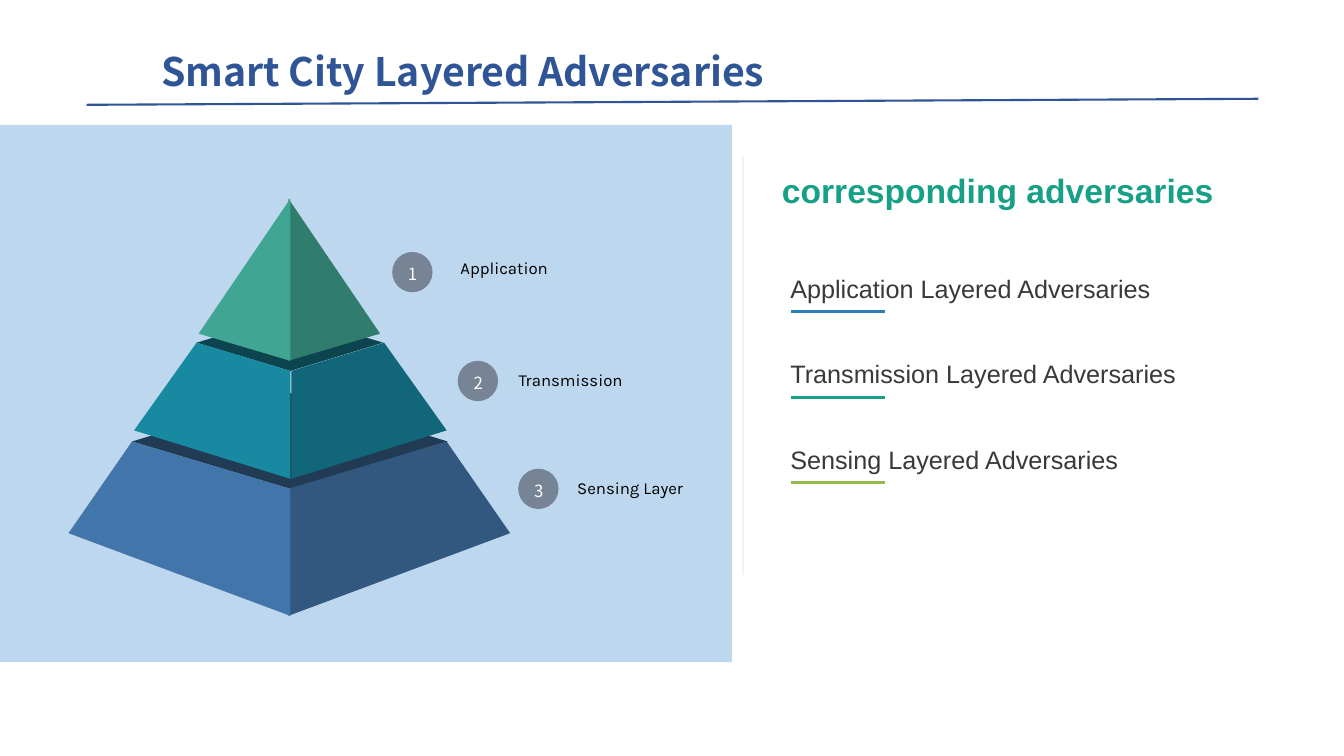
from pptx import Presentation
from pptx.dml.color import RGBColor
from pptx.enum.shapes import MSO_SHAPE as Shape, MSO_CONNECTOR as Conn
from pptx.enum.text import MSO_ANCHOR as Anchor, PP_ALIGN as Align
from pptx.oxml.ns import qn
from pptx.util import Inches, Pt
from lxml import etree

TITLE = "Smart City Layered Adversaries"
HEADING = "corresponding adversaries"
CJK = "Noto Sans CJK SC"
FACES = [
    ("213B55", [(2.88, 3.9), (1.31, 4.38), (2.88, 4.85), (4.44, 4.38)]),
    ("32587F", [(2.86, 4.85), (2.86, 6.11), (5.06, 5.29), (4.43, 4.38)]),
    ("4276AA", [(2.88, 4.85), (2.88, 6.11), (0.68, 5.29), (1.31, 4.38)]),
    ("0C4550", [(2.88, 3.12), (1.95, 3.4), (2.88, 3.68), (3.8, 3.4)]),
    ("116779", [(2.89, 3.68), (2.89, 4.75), (4.43, 4.27), (3.81, 3.4)]),
    ("178AA1", [(2.88, 3.68), (2.88, 4.75), (1.33, 4.27), (1.95, 3.4)]),
    ("307D6E", [(2.86, 1.97), (2.86, 3.58), (3.77, 3.31)]),
    ("40A693", [(1.97, 3.31), (2.88, 3.58), (2.88, 1.97)]),
]
LAYERS = [
    ("Application", 3.89, (4.29, 2.47, 1.42, 1.01)),
    ("Transmission", 4.54, (4.75, 3.58, 1.82, 0.65)),
    ("Sensing Layer", 5.14, (5.34, 4.65, 1.82, 1.01)),
]
ROWS = [
    ("Application Layered Adversaries", 4.69, "297FB8"),
    ("Transmission Layered Adversaries", 5.31, "16A086"),
    ("Sensing Layered Adversaries", 4.3, "94B74F"),
]

prs = Presentation()
prs.slide_width, prs.slide_height = Inches(13.33), Inches(7.5)
shapes = prs.slides.add_slide(prs.slide_layouts[6]).shapes


def color(code):
    return RGBColor.from_string(code)


def paint(shape, code):
    shape.shadow.inherit = False
    shape.fill.solid()
    shape.fill.fore_color.rgb = color(code)
    shape.line.fill.background()


def block(kind, box, code):
    shape = shapes.add_shape(kind, *map(Inches, box))
    paint(shape, code)
    return shape


def face(code, points):
    points = [(Inches(x), Inches(y)) for x, y in points]
    form = shapes.build_freeform(*points[0], scale=1)
    form.add_line_segments(points[1:], close=True)
    paint(form.convert_to_shape(), code)


def rule(start, end, code, width):
    line = shapes.add_connector(Conn.STRAIGHT, *map(Inches, start + end))
    line.line.color.rgb = color(code)
    line.line.width = Pt(width)
    etree.SubElement(line._element.spPr, qn("a:effectLst"))


def write(shape, text, size, font, code, bold=False, align=Align.LEFT,
          anchor=Anchor.TOP, lead=1.0, before=0):
    frame = shape.text_frame
    frame.word_wrap = True
    frame.vertical_anchor = anchor
    para = frame.paragraphs[0]
    para.text = text
    para.alignment = align
    para.line_spacing = lead
    para.space_before = Pt(before)
    para.font.size, para.font.name, para.font.bold = Pt(size), font, bold
    para.font.color.rgb = color(code)


def label(box, *args, **style):
    write(shapes.add_textbox(*map(Inches, box)), *args, **style)


block(Shape.RECTANGLE, (0, 1.24, 7.26, 5.33), "BDD7EE")
label((1.5, 0.42, 7.94, 0.57), TITLE, 28, CJK, "2F5597", bold=True)
rule((0.86, 1.04), (12.48, 0.98), "2F5597", 1.5)

for code, points in FACES:
    face(code, points)

for num, (name, left, box) in enumerate(LAYERS, 1):
    label(box, name, 12, "Karla", "000000", align=Align.CENTER,
          lead=1.2, before=2.4)
    top = 2.5 if num == 1 else box[1]
    dot = block(Shape.OVAL, (left, top, 0.4, 0.4), "778495")
    write(dot, str(num), 12, CJK, "FFFFFF", align=Align.CENTER,
          anchor=Anchor.MIDDLE, lead=1.2)

rule((7.37, 1.55), (7.37, 5.7), "F2F2F2", 1.75)
label((7.6, 1.66, 4.59, 0.5), HEADING, 24, "Arial", "16A086", bold=True,
      align=Align.CENTER, anchor=Anchor.MIDDLE, lead=0.9)
for i, (text, width, code) in enumerate(ROWS):
    top = 2.48 + 0.85 * i
    label((7.74, top, width, 0.58), text, 18, "Arial", "3A3838",
          anchor=Anchor.BOTTOM, lead=0.9)
    rule((7.85, top + 0.61), (8.78, top + 0.61), code, 2)

prs.save("out.pptx")
